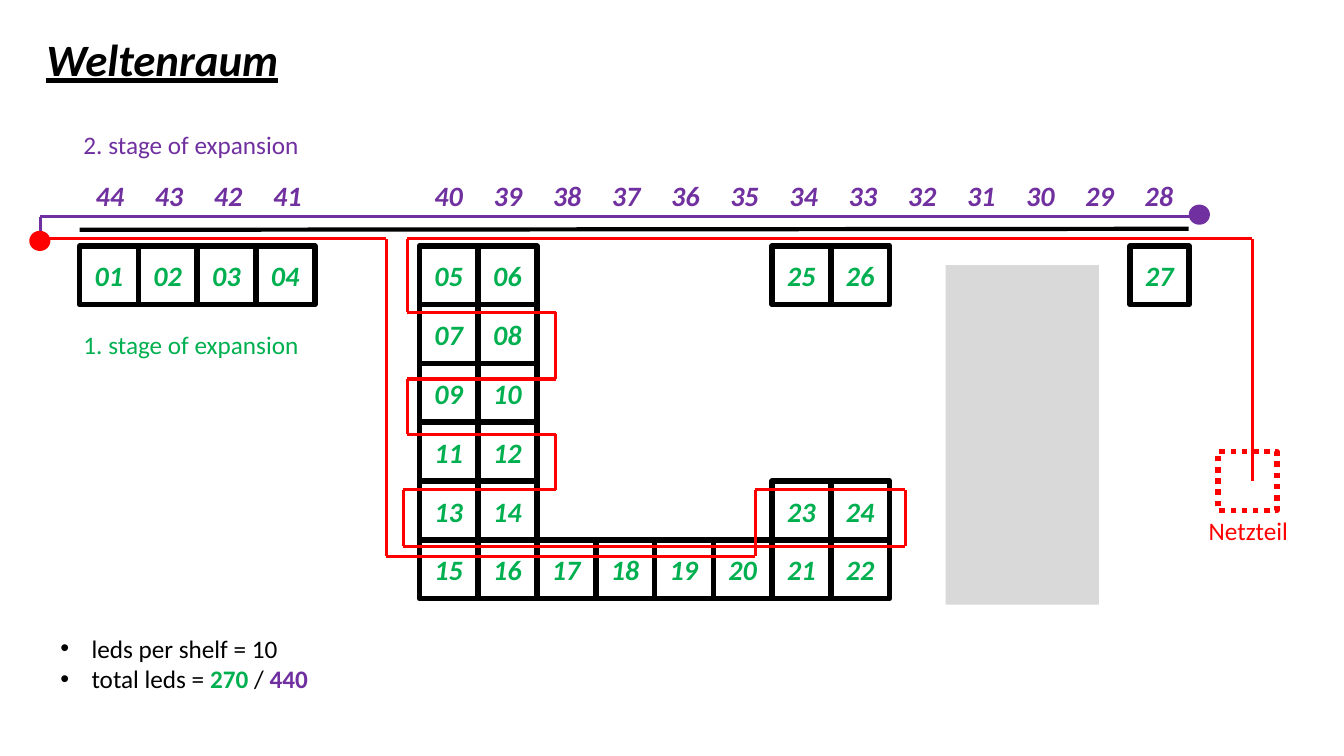
from itertools import pairwise

from lxml import etree
from pptx import Presentation
from pptx.dml.color import RGBColor
from pptx.enum.dml import MSO_LINE_DASH_STYLE as Dash
from pptx.enum.shapes import MSO_CONNECTOR as Connector, MSO_SHAPE as Shape
from pptx.enum.text import MSO_ANCHOR as Anchor, MSO_AUTO_SIZE as AutoSize, PP_ALIGN as Align
from pptx.oxml.ns import qn
from pptx.util import Inches, Pt

COLORS = {
    "black": "000000",
    "first_stage": "00B050",
    "second_stage": "7030A0",
    "power": "FF0000",
    "block": "D9D9D9",
}
FONT = "Calibri"
CELL = 0.583
TOP = 2.44
SHELF_LEFT, MAIN_LEFT, END_LEFT = 0.79, 4.16, 11.21

# (first number, left edge of the group, first column, row, count)
CELL_RUNS = [
    (1, SHELF_LEFT, 0, 0, 4),
    *[(5 + 2 * row, MAIN_LEFT, 0, row, 2) for row in range(5)],
    (15, MAIN_LEFT, 0, 5, 8),
    (23, MAIN_LEFT, 6, 4, 2),
    (25, MAIN_LEFT, 6, 0, 2),
    (27, END_LEFT, 0, 0, 1),
]
# (first number, left edge, count), counting down to the right
UPPER_RUNS = [(40, 4.21, 13), (44, 0.85, 4)]
UPPER_STEP = 0.587

FIRST_WIRE = [
    (12.42, 4.77), (12.42, 2.37), (4.04, 2.37), (4.04, 3.1), (5.51, 3.1),
    (5.51, 3.76), (4.04, 3.76), (4.04, 4.31), (5.51, 4.31), (5.51, 4.86),
    (4, 4.86), (4, 5.42), (8.98, 5.42), (8.98, 4.86), (7.49, 4.86),
    (7.49, 5.52), (3.83, 5.52), (3.83, 2.37), (0.4, 2.37),
]
SECOND_WIRE = [(0.4, 2.38), (0.4, 2.15), (11.91, 2.15)]


def rgb(color):
    return RGBColor.from_string(COLORS[color])


def add_box(slide, kind, box, fill=None, line=None, dash=None):
    shape = slide.shapes.add_shape(kind, *map(Inches, box))
    shape.shadow.inherit = False
    if fill:
        shape.fill.solid()
        shape.fill.fore_color.rgb = rgb(fill)
    else:
        shape.fill.background()
    if line:
        shape.line.color.rgb = rgb(line)
        shape.line.width = Pt(4)
        shape.line.dash_style = dash
    else:
        shape.line.fill.background()


def add_wire(slide, points, color, width=2.25):
    """Join consecutive points with straight lines."""
    for start, end in pairwise(points):
        wire = slide.shapes.add_connector(Connector.STRAIGHT, *map(Inches, start + end))
        wire.line.color.rgb = rgb(color)
        wire.line.width = Pt(width)
        etree.SubElement(wire._element.spPr, qn("a:effectLst"))


def add_run(paragraph, text, color, size=18, **styles):
    run = paragraph.add_run()
    run.text = text
    run.font.color.rgb = rgb(color)
    for name, value in {"name": FONT, "size": Pt(size), **styles}.items():
        setattr(run.font, name, value)


def fit_frame(frame):
    for name, value in {"word_wrap": False, "auto_size": AutoSize.SHAPE_TO_FIT_TEXT,
                        "vertical_anchor": Anchor.TOP}.items():
        setattr(frame, name, value)
    return frame


def add_label(slide, box, text, color, **styles):
    frame = fit_frame(slide.shapes.add_textbox(*map(Inches, box)).text_frame)
    add_run(frame.paragraphs[0], text, color, **styles)


def add_number(slide, left, top, number, color):
    add_label(slide, (left, top, 0.49, 0.44), f"{number:02d}", color,
              size=20, bold=True, italic=True)


def add_bullet(paragraph):
    properties = paragraph._p.get_or_add_pPr()
    indent = Inches(0.31)
    properties.set("marL", str(indent))
    properties.set("indent", str(-indent))
    etree.SubElement(properties, qn("a:buFont"), typeface="Arial")
    etree.SubElement(properties, qn("a:buChar"), char="•")


def add_title(slide, text):
    title = slide.shapes.title
    for name, value in {"left": 0.36, "top": 0.26, "width": 2.52, "height": 0.64}.items():
        setattr(title, name, Inches(value))
    paragraph = fit_frame(title.text_frame).paragraphs[0]
    paragraph.alignment = Align.LEFT
    add_run(paragraph, text, "black", size=32, bold=True, italic=True, underline=True)


def add_cells(slide):
    cells = [
        (first + i, left + (column + i) * CELL, TOP + row * CELL)
        for first, left, column, row, count in CELL_RUNS
        for i in range(count)
    ]
    for _, left, top in cells:
        add_box(slide, Shape.RECTANGLE, (left, top, CELL, CELL), line="black")
    add_wire(slide, [(0.79, 2.28), (11.79, 2.27)], "black", width=3)
    for number, left, top in cells:
        add_number(slide, left + 0.05, top + 0.08, number, "first_stage")


def add_upper_numbers(slide):
    for first, left, count in UPPER_RUNS:
        for i in range(count):
            add_number(slide, left + i * UPPER_STEP, 1.72, first - i, "second_stage")


def add_led_totals(slide):
    box = slide.shapes.add_textbox(*map(Inches, (0.5, 6.23, 2.69, 0.71)))
    frame = fit_frame(box.text_frame)
    per_shelf, total = frame.paragraphs[0], frame.add_paragraph()
    for paragraph in (per_shelf, total):
        add_bullet(paragraph)
    add_run(per_shelf, "leds per shelf = 10", "black")
    add_run(total, "total leds = ", "black")
    add_run(total, "270", "first_stage", bold=True)
    add_run(total, " / ", "black")
    add_run(total, "440", "second_stage", bold=True)


def main():
    deck = Presentation()
    deck.slide_width, deck.slide_height = Inches(13.33), Inches(7.5)
    slide = deck.slides.add_slide(deck.slide_layouts.get_by_name("Title Only"))

    add_title(slide, "Weltenraum")
    add_cells(slide)
    add_upper_numbers(slide)
    add_wire(slide, FIRST_WIRE, "power")
    add_wire(slide, SECOND_WIRE, "second_stage")
    add_box(slide, Shape.OVAL, (0.29, 2.29, 0.21, 0.2), fill="power")
    add_box(slide, Shape.OVAL, (11.79, 2.03, 0.21, 0.2), fill="second_stage")
    add_box(slide, Shape.RECTANGLE, (12.08, 4.48, CELL, CELL), line="power",
            dash=Dash.ROUND_DOT)
    add_label(slide, (11.89, 5.06, 1, 0.4), "Netzteil", "power")
    add_box(slide, Shape.RECTANGLE, (9.38, 2.63, 1.52, 3.37), fill="block")
    add_label(slide, (0.73, 3.22, 2.36, 0.4), "1. stage of expansion", "first_stage")
    add_label(slide, (0.73, 1.23, 2.36, 0.4), "2. stage of expansion", "second_stage")
    add_led_totals(slide)
    deck.save("out.pptx")


if __name__ == "__main__":
    main()
